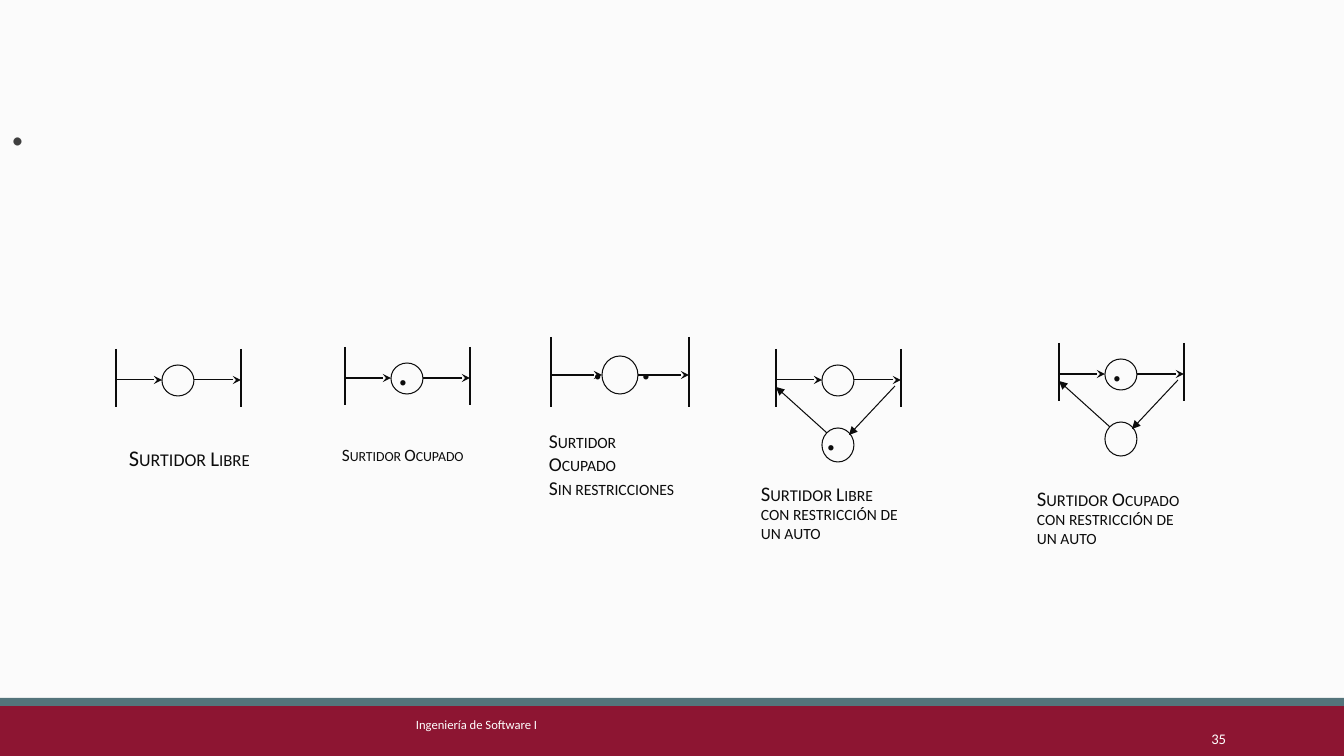
from lxml import etree
from pptx import Presentation
from pptx import util as u
from pptx.dml.color import RGBColor
from pptx.enum import shapes, text
from pptx.oxml.ns import qn

PX = 12192000 / 1344  # EMU per px
INK, WINE, TEAL, WHITE = "0C0C0C", "8D1532", "54747B", "FFFFFF"


def px(length):
    return u.Emu(round(length * PX))


def rgb(color):
    return RGBColor.from_string(color)


class Sketch:
    """Holds the slide, the style and the shape tree being drawn on."""

    font = "Calibri"
    hairline, bar_width = 0.75, 2

    def __init__(self, slide):
        self.slide = slide
        self.canvas = slide.shapes

    def start_group(self):
        self.canvas = self.slide.shapes.add_group_shape().shapes

    def end_group(self):
        self.canvas = self.slide.shapes

    def band(self, box, color):
        band = self.canvas.add_shape(shapes.MSO_SHAPE.RECTANGLE, *map(px, box))
        band.shadow.inherit = False
        band.fill.solid()
        band.fill.fore_color.rgb = rgb(color)
        band.line.fill.background()

    def place(self, box):
        circle = self.canvas.add_shape(shapes.MSO_SHAPE.OVAL, *map(px, box))
        circle.shadow.inherit = False
        circle.fill.background()
        circle.line.color.rgb = rgb(INK)
        circle.line.width = u.Pt(self.hairline)

    def line(self, start, end, width=hairline, head=None):
        line = self.canvas.add_connector(
            shapes.MSO_CONNECTOR.STRAIGHT, *map(px, (*start, *end)))
        line.line.color.rgb = rgb(INK)
        line.line.width = u.Pt(width)
        properties = line._element.spPr
        if head:
            etree.SubElement(properties.find(qn("a:ln")), qn("a:tailEnd"), type=head)
        etree.SubElement(properties, qn("a:effectLst"))

    def label(self, box, paragraphs, color=INK, bold=False, small=False,
              spacing=1.0, align="LEFT", anchor="MIDDLE", turn=0):
        """Each paragraph is a list of (words, size) runs."""
        area = self.canvas.add_textbox(*map(px, box))
        area.rotation = turn
        frame = area.text_frame
        frame.word_wrap = True
        frame.vertical_anchor = text.MSO_ANCHOR[anchor]
        for number, runs in enumerate(paragraphs):
            paragraph = frame.add_paragraph() if number else frame.paragraphs[0]
            paragraph.alignment = text.PP_ALIGN[align]
            paragraph.line_spacing = spacing
            for words, size in runs:
                run = paragraph.add_run()
                run.text = words
                style = {"name": self.font, "size": u.Pt(size), "bold": bold}
                for attribute, value in style.items():
                    setattr(run.font, attribute, value)
                run.font.color.rgb = rgb(color)
                if small:
                    run.font._element.set("cap", "small")

    def tokens(self, box, runs, spacing=1.0):
        self.label(box, [runs], bold=True, small=True, spacing=spacing, turn=90)

    def net(self, x, y, token=None, size=(125, 58), circle=(32, 31), restricted=False):
        """Two transition bars with a place between them, optionally a return place."""
        (width, height), (across, tall) = size, circle
        right, axis = x + width, y + round(height * 0.54)
        left_edge = x + (width - across) // 2
        self.start_group()
        self.place((left_edge, axis - tall // 2, across, tall))
        for bar in (x, right):
            self.line((bar, y), (bar, y + height), self.bar_width)
        for start, end in ((x, left_edge), (left_edge + across, right)):
            self.line((start, axis), (end, axis), head="stealth")
        if restricted:
            self.place((x + 46, y + 79, 32, 34))
            self.line((x + 119, y + 37), (x + 73, y + 86), head="triangle")
            self.line((x + 51, y + 84), (x, y + 38), head="triangle")
        if token:
            (dx, dy, w, h), runs, spacing = token
            self.tokens((x + dx, y + dy, w, h), runs, spacing)
        self.end_group()


def main():
    deck = Presentation()
    deck.slide_width, deck.slide_height = px(1344), px(756)
    slide = deck.slides.add_slide(deck.slide_layouts[6])
    slide.background.fill.solid()
    slide.background.fill.fore_color.rgb = rgb("FBFBFB")
    sketch = Sketch(slide)

    # Footer
    sketch.band((0, 706, 1344, 50), WINE)
    sketch.band((0, 698, 1344, 8), TEAL)
    sketch.label((406, 712, 531, 40), [[("Ingeniería de Software I", 9)]],
                 color=WHITE, anchor="TOP")
    sketch.label((1092, 712, 144, 40), [[("35", 10.5)]],
                 color=WHITE, align="RIGHT", anchor="BOTTOM")

    # Title
    sketch.label((0, 55, 1191, 140), [[(".", 48)]], color="3F3F3F", spacing=0.85)

    # Nets without restriction
    busy = ((58, -13, 31, 101), [(".", 32)], 1.0)
    two_cars = ((64, -11, 38, 112), [("..", 32)], 0.9)
    sketch.net(116, 349)
    sketch.net(345, 347, busy)
    sketch.net(551, 337, two_cars, size=(138, 70), circle=(36, 38))

    # Captions
    limit = [("con restricción de un auto", 13.9)]
    captions = [
        ((119, 438, 150, 40), 1.0, [[("Surtidor ", 16), ("Libre", 15)]]),
        ((332, 437, 150, 40), 0.8, [[("Surtidor Ocupado", 12.4)]]),
        ((539, 437, 150, 54), 1.0,
         [[("Surtidor Ocupado", 14)], [("Sin restricciones", 14)]]),
        ((1027, 483, 167, 73), 0.8, [[("Surtidor ", 14.8), ("Ocupado", 13.9)], limit]),
        ((751, 478, 167, 73), 0.8, [[("Surtidor ", 14.8), ("Libre", 13.9)], limit]),
    ]
    for box, spacing, paragraphs in captions:
        sketch.label(box, paragraphs, small=True, spacing=spacing)

    # Nets restricted to one car
    free = ((49, 65, 43, 71), [(" ", 24), (".", 32)], 1.0)
    sketch.net(776, 349, free, restricted=True)
    sketch.net(1059, 343, busy, restricted=True)

    deck.save("out.pptx")


if __name__ == "__main__":
    main()
